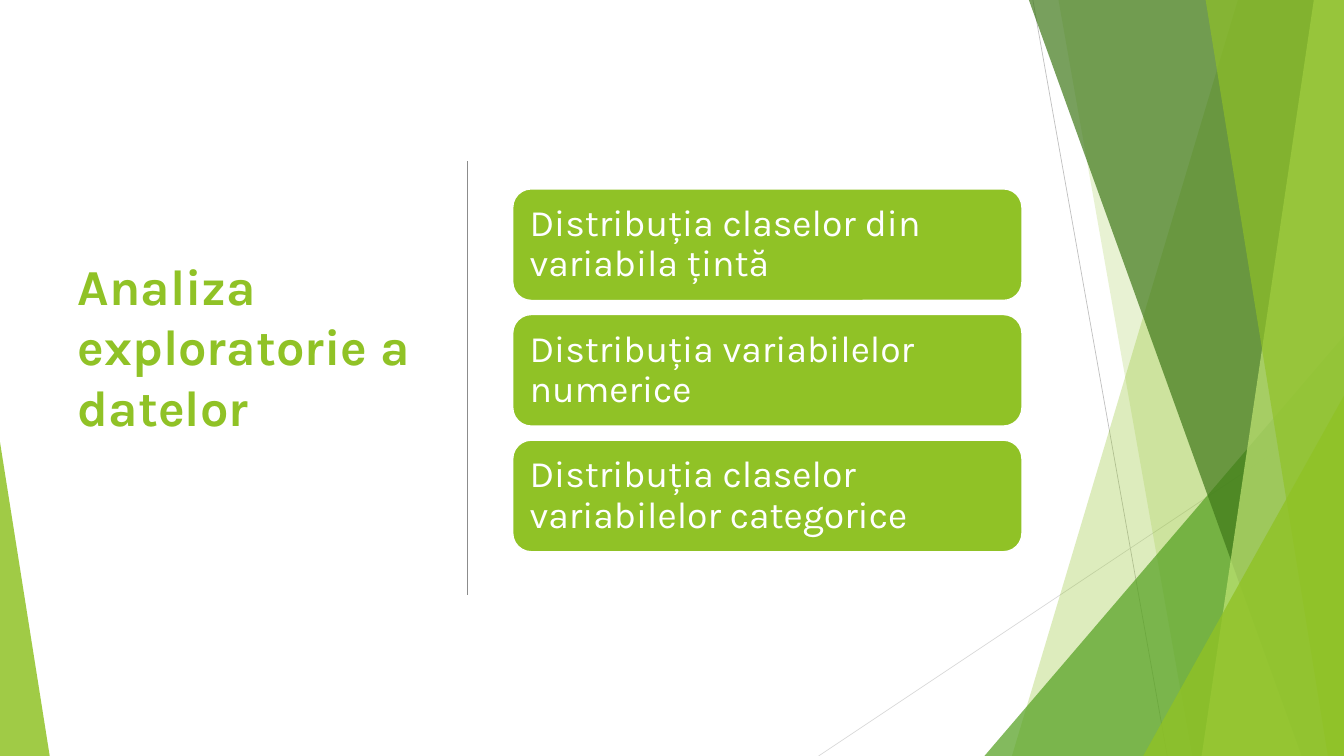
from collections import namedtuple
from dataclasses import dataclass

from pptx import Presentation
from pptx.dml.color import RGBColor
from pptx.enum.shapes import MSO_CONNECTOR as Line, MSO_SHAPE as Preset
from pptx.enum.text import MSO_ANCHOR as Anchor, PP_ALIGN as Align
from pptx.oxml.ns import qn
from pptx.oxml.xmlchemy import OxmlElement
from pptx.util import Cm, Pt

Box = namedtuple("Box", "left top width height")


@dataclass(frozen=True)
class Theme:
    """Colours, font and type sizes of the deck."""
    lime: str = "90C226"
    green: str = "54A021"
    forest: str = "3F7819"
    pale: str = "C0E474"
    white: str = "FFFFFF"
    divider: str = "8C8C8C"
    steep_ray: str = "BFBFBF"
    flat_ray: str = "D9D9D9"
    font: str = "Karla"
    title_size: int = 54
    card_size: int = 40


THEME = Theme()
TITLE = "Analiza exploratorie a datelor"
CARDS = [
    "Distribuția claselor din variabila țintă",
    "Distribuția variabilelor numerice",
    "Distribuția claselor variabilelor categorice",
]


def rule(page, start, end, color, weight):
    """Draw a straight line between two points given in centimetres."""
    line = page.shapes.add_connector(Line.STRAIGHT, *map(Cm, start + end))
    line.line.color.rgb = RGBColor.from_string(color)
    line.line.width = Pt(weight)
    line._element.spPr.append(OxmlElement("a:effectLst"))


def tint(shape, color, opacity):
    """Give a shape a translucent fill without outline or shadow."""
    shape.shadow.inherit = False
    shape.line.fill.background()
    shape.fill.solid()
    shape.fill.fore_color.rgb = RGBColor.from_string(color)
    alpha = OxmlElement("a:alpha")
    alpha.set("val", str(opacity * 1000))
    shape._element.spPr.find(qn("a:solidFill"))[0].append(alpha)


def facet(page, box, top_x, bottom_x, color, opacity):
    """Fill the box to the right of a slanted edge."""
    right, bottom = box.left + box.width, box.top + box.height
    builder = page.shapes.build_freeform(Cm(box.left + top_x), Cm(box.top))
    corners = [(right, box.top), (right, bottom), (box.left + bottom_x, bottom)]
    builder.add_line_segments([(Cm(x), Cm(y)) for x, y in corners])
    tint(builder.convert_to_shape(), color, opacity)


def wedge(page, box, apex, color, opacity):
    """Fill a triangle whose apex lies at a fraction of the box width."""
    shape = page.shapes.add_shape(Preset.ISOSCELES_TRIANGLE, *map(Cm, box))
    shape.adjustments[0] = apex
    tint(shape, color, opacity)


def corner_wedge(page, box, left, top, color, opacity):
    """Fill a triangle from a point inside the box to its lower right corner."""
    place = Box(box.left + left, box.top + top, box.width - left, box.height - top)
    wedge(page, place, 1, color, opacity)


def facets(page, box):
    """Layer the rays and green facets on the right side."""
    right, bottom = box.left + box.width, box.top + box.height
    rule(page, (box.left + 8.1, box.top), (box.left + 13.18, bottom), THEME.steep_ray, 0.75)
    rule(page, (right, box.top + 15.34), (box.left, bottom), THEME.flat_ray, 0.75)
    layers = [
        (facet, 15.85, 7.31, THEME.lime, 30),
        (facet, 9.07, 14.12, THEME.lime, 20),
        (corner_wedge, 6.27, 12.7, THEME.green, 72),
        (facet, 7.95, 18.26, THEME.forest, 70),
        (facet, 18.72, 14.48, THEME.pale, 70),
        (facet, 14.63, 19.25, THEME.lime, 65),
        (corner_wedge, 12.27, 14.96, THEME.lime, 80),
    ]
    for draw, *layer in layers:
        draw(page, box, *layer)


def write(frame, text, size, color, bold=False):
    """Write one left-aligned paragraph, centred vertically, and return it."""
    frame.word_wrap = True
    frame.vertical_anchor = Anchor.MIDDLE
    para = frame.paragraphs[0]
    para.alignment = Align.LEFT
    span = para.add_run()
    span.text = text
    span.font.name = THEME.font
    span.font.size = Pt(size)
    span.font.bold = bold
    span.font.color.rgb = RGBColor.from_string(color)
    return para


def heading(page, box):
    """Place the slide title."""
    title = page.shapes.add_textbox(*map(Cm, box))
    write(title.text_frame, TITLE, THEME.title_size, THEME.lime, bold=True)


def cards(page, box, gap):
    """Stack equal rounded cards down the box."""
    height = (box.height - gap * (len(CARDS) - 1)) / len(CARDS)
    for index, text in enumerate(CARDS):
        top = box.top + index * (height + gap)
        card = page.shapes.add_shape(
            Preset.ROUNDED_RECTANGLE, *map(Cm, (box.left, top, box.width, height)))
        card.shadow.inherit = False
        card.fill.solid()
        card.fill.fore_color.rgb = RGBColor.from_string(THEME.lime)
        card.line.color.rgb = RGBColor.from_string(THEME.white)
        card.line.width = Pt(1.5)
        frame = card.text_frame
        frame.margin_left = frame.margin_right = Cm(0.43)
        frame.margin_top = frame.margin_bottom = Cm(0.43)
        para = write(frame, text, THEME.card_size, THEME.white)
        para.line_spacing = 0.9


def main():
    """Build the slide and save it."""
    deck = Presentation()
    deck.slide_width, deck.slide_height = Cm(50.8), Cm(28.58)
    page = deck.slides.add_slide(deck.slide_layouts[6])
    facets(page, Box(30.94, 0, 19.86, 28.58))
    wedge(page, Box(0, 16.71, 1.88, 11.87), 0, THEME.lime, 85)
    rule(page, (17.68, 6.1), (17.68, 22.48), THEME.divider, 1)
    heading(page, Box(2.69, 3.63, 14.02, 18.87))
    cards(page, Box(19.38, 7.14, 19.25, 13.72), 0.53)
    deck.save("out.pptx")


if __name__ == "__main__":
    main()
